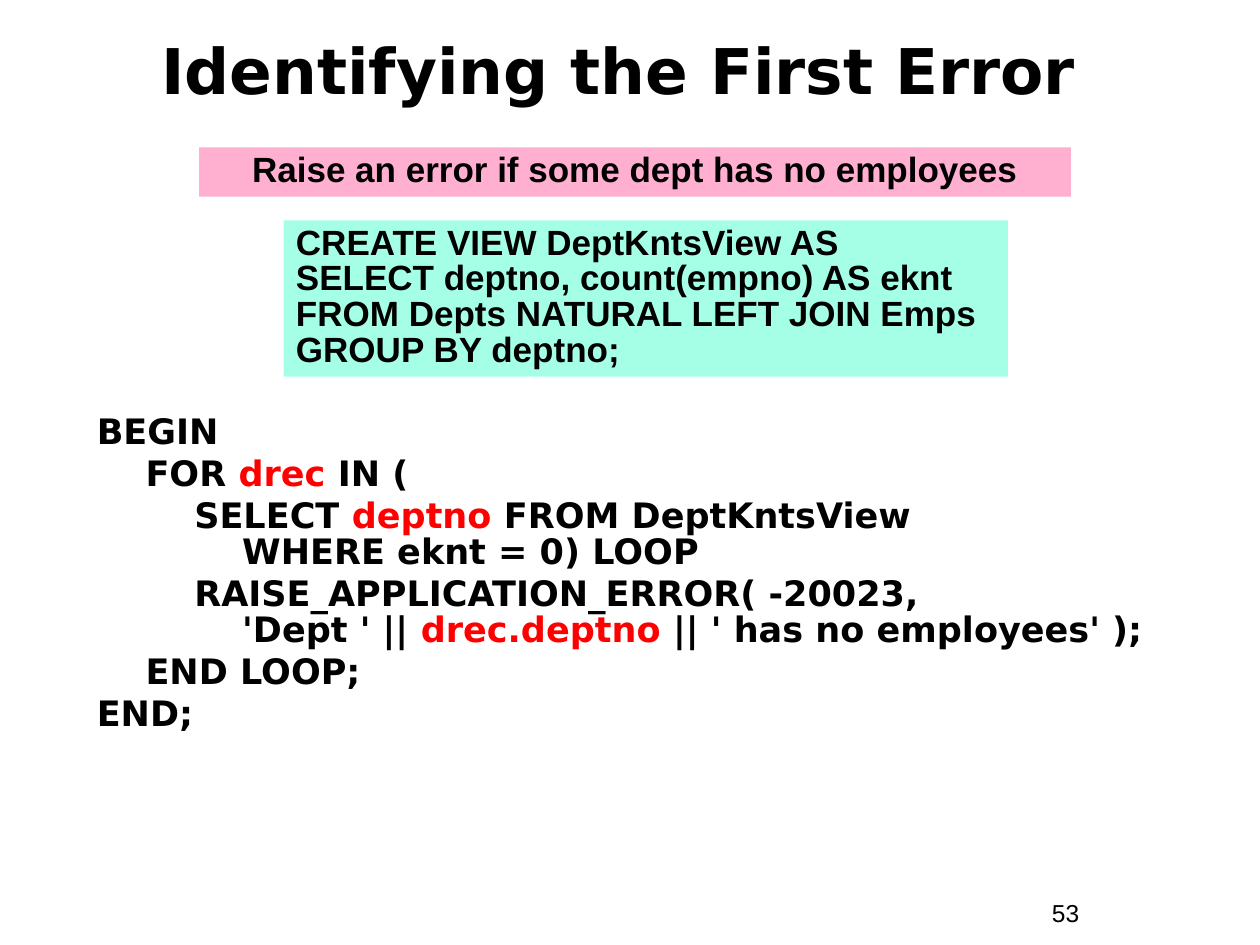
import pptx
import pptx.util
import pptx.dml.color
import pptx.enum.shapes
import pptx.enum.text

Inches, Pt = pptx.util.Inches, pptx.util.Pt
ALIGN = pptx.enum.text.PP_ALIGN
ANCHOR = pptx.enum.text.MSO_ANCHOR

COLOURS = {"text": "000000", "variable": "FF0000", "rule": "FFAFCF", "view": "A5FFE7"}
HEADING_FONT, LABEL_FONT = "DejaVu Sans", "Arial"

TITLE = "Identifying the First Error "
RULE = "Raise an error if some dept has no employees"
VIEW = """CREATE VIEW DeptKntsView AS 
SELECT deptno, count(empno) AS eknt 
FROM Depts NATURAL LEFT JOIN Emps 
GROUP BY deptno;"""
PAGE = "53"

# Each statement alternates plain code and a highlighted variable.
BLOCK = [
    ["BEGIN"],
    ["    FOR ", "drec", " IN ("],
    ["        SELECT ", "deptno", " FROM DeptKntsView\n        WHERE eknt = 0) LOOP"],
    ["        RAISE_APPLICATION_ERROR( -20023,\n        'Dept ' || ", "drec.deptno",
     " || ' has no employees' );"],
    ["    END LOOP;"],
    ["END;"],
]


def rgb(name):
    return pptx.dml.color.RGBColor.from_string(COLOURS[name])


def place(shape, left, top, width, height):
    shape.left, shape.top = Inches(left), Inches(top)
    shape.width, shape.height = Inches(width), Inches(height)


def write(paragraph, pieces, font, size, bold=True, align=ALIGN.LEFT):
    """Fill a paragraph with pieces, colouring every second one as a variable."""
    paragraph.alignment = align
    for index, piece in enumerate(pieces):
        for line_number, line in enumerate(piece.split("\n")):
            if line_number:
                paragraph.add_line_break()
            run = paragraph.add_run()
            run.text = line
            run.font.name, run.font.size, run.font.bold = font, Pt(size), bold
            run.font.color.rgb = rgb("variable" if index % 2 else "text")


def add_panel(slide, text, fill, box, align):
    panel = slide.shapes.add_shape(
        pptx.enum.shapes.MSO_SHAPE.RECTANGLE, *map(Inches, box))
    panel.shadow.inherit = False
    panel.fill.solid()
    panel.fill.fore_color.rgb = rgb(fill)
    panel.line.fill.background()
    panel.text_frame.word_wrap = True
    panel.text_frame.vertical_anchor = ANCHOR.TOP
    paragraph = panel.text_frame.paragraphs[0]
    paragraph.line_spacing = 0.85
    write(paragraph, [text], LABEL_FONT, 20, align=align)


def add_code(slide, statements, box):
    frame = slide.shapes.add_textbox(*map(Inches, box)).text_frame
    frame.word_wrap = True
    for index, pieces in enumerate(statements):
        paragraph = frame.add_paragraph() if index else frame.paragraphs[0]
        paragraph.line_spacing = 0.85
        paragraph.space_before = Pt(3.7 if index else 0)
        properties = paragraph._p.get_or_add_pPr()
        properties.set("marL", str(Inches(0.38)))
        properties.set("indent", str(Inches(-0.38)))
        write(paragraph, pieces, HEADING_FONT, 20)


def main():
    deck = pptx.Presentation()
    deck.slide_width, deck.slide_height = Inches(10), Inches(7.5)
    slide = deck.slides.add_slide(deck.slide_layouts[5])

    title = slide.shapes.title
    place(title, 0.33, 0.09, 9.33, 0.92)
    title.text_frame.vertical_anchor = ANCHOR.MIDDLE
    write(title.text_frame.paragraphs[0], [TITLE], HEADING_FONT, 36, align=ALIGN.CENTER)

    add_code(slide, BLOCK, (0.67, 3.25, 8.83, 2.71))
    add_panel(slide, RULE, "rule", (1.58, 1.17, 6.92, 0.39), ALIGN.CENTER)
    add_panel(slide, VIEW, "view", (2.25, 1.75, 5.75, 1.24), ALIGN.LEFT)

    page = slide.shapes.add_textbox(*map(Inches, (8.25, 7.08, 0.92, 0.34))).text_frame
    page.word_wrap = True
    write(page.paragraphs[0], [PAGE], LABEL_FONT, 14, bold=False)

    deck.save("out.pptx")


if __name__ == "__main__":
    main()
